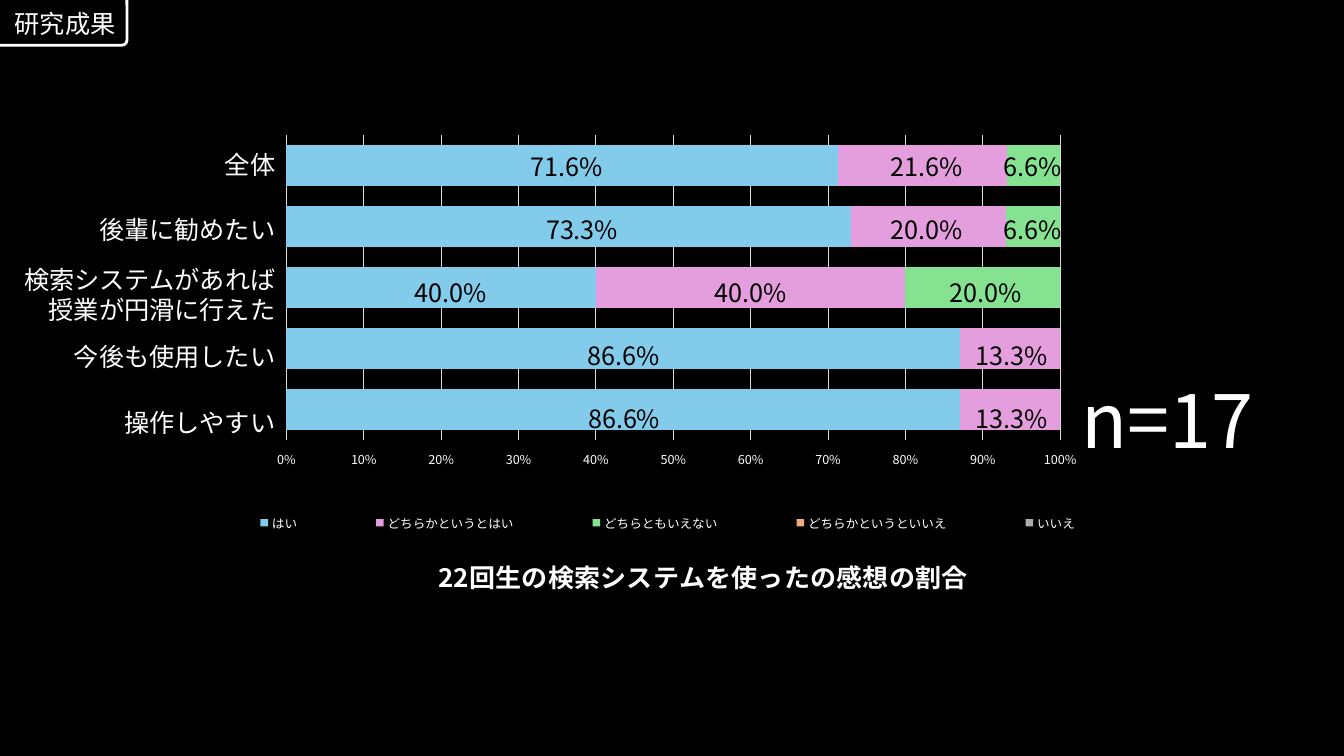
from dataclasses import dataclass

import pptx
import pptx.chart.data
import pptx.dml.color
import pptx.enum.chart
import pptx.enum.shapes
import pptx.enum.text
import pptx.oxml
import pptx.oxml.ns
import pptx.util

Cm, Pt = pptx.util.Cm, pptx.util.Pt
qn = pptx.oxml.ns.qn
Align = pptx.enum.text.PP_ALIGN


@dataclass(frozen=True)
class Theme:
    face: str = "Noto Sans CJK JP"
    back: str = "000000"
    ink: str = "FFFFFF"
    dark: str = "000000"
    grid: str = "D9D9D9"
    tones: tuple = ("83CBEB", "E59EDD", "84E291", "F2AA84", "AEAEAE")
    body: int = 18
    title: float = 18.6
    small: int = 9
    base: int = 10
    huge: int = 54


THEME = Theme()

KEYS = ("はい", "どちらかというとはい", "どちらともいえない",
        "どちらかというといいえ", "いいえ")

# Rows from top to bottom: name, top, width, height of the name,
# then value, label and left edge of the label for each answer
ROWS = (
    ("全体", 3.63, 2.77, 1.02,
     ((72, "71.6%", 12.67), (22, "21.6%", 21.74), (7, "6.6%", 24.23))),
    ("後輩に勧めたい", 5.28, 5.92, 1.02,
     ((73, "73.3%", 13.06), (20, "20.0%", 21.74), (7, "6.6%", 24.23))),
    ("検索システムがあれば授業が円滑に行えた", 6.53, 7.19, 1.8,
     ((40, "40.0%", 9.75), (40, "40.0%", 17.3), (20, "20.0%", 23.22))),
    ("今後も使用したい", 8.48, 6.12, 1.02,
     ((87, "86.6%", 14.1), (13, "13.3%", 23.88))),
    ("操作しやすい", 10.13, 5.13, 1.02,
     ((87, "86.6%", 14.12), (13, "13.3%", 23.88))),
)
EDGE = 7.19    # right edge of the row names
FIRST = 3.68   # top of the first row of labels
PITCH = 1.59   # distance between rows
WIDE, HIGH = 25.07, 12.55   # size of the chart


def rgb(code):
    return pptx.dml.color.RGBColor.from_string(code)


def style(font, size, tone, bold=None):
    font.size = Pt(size)
    font.bold = bold
    font.color.rgb = rgb(tone)
    font.name = THEME.face


def add_east(root):
    """Give East Asian text the same face as Latin text."""
    for latin in list(root.iter(qn("a:latin"))):
        east = pptx.oxml.parse_xml(
            f'<a:ea {pptx.oxml.ns.nsdecls("a")} typeface="{THEME.face}"/>')
        latin.addnext(east)


def write(frame, text, size, tone, align):
    para = frame.paragraphs[0]
    para.text = text
    para.alignment = align
    style(para.font, size, tone)
    add_east(para._p)


def add_text(slide, text, left, top, width, height, tone=THEME.ink,
             size=THEME.body, align=Align.RIGHT):
    box = slide.shapes.add_textbox(Cm(left), Cm(top), Cm(width), Cm(height))
    box.text_frame.word_wrap = True
    write(box.text_frame, text, size, tone, align)


def add_tab(slide, text):
    kind = pptx.enum.shapes.MSO_SHAPE.ROUNDED_RECTANGLE
    tab = slide.shapes.add_shape(kind, Cm(-0.15), Cm(-0.23), Cm(3.35), Cm(1.37))
    tab.adjustments[0] = 0.09
    tab.shadow.inherit = False
    tab.fill.background()
    tab.line.color.rgb = rgb(THEME.ink)
    tab.line.width = Pt(2)
    tab.text_frame.vertical_anchor = pptx.enum.text.MSO_ANCHOR.BOTTOM
    write(tab.text_frame, text, THEME.body, THEME.ink, Align.RIGHT)


def place(part, after, inner=False, **spots):
    """Fix a chart part at centimetres from the chart's corner."""
    for old in part.findall(qn("c:layout")):
        part.remove(old)
    marks = '<c:layoutTarget val="inner"/>' if inner else ""
    marks += "".join(f'<c:{key}Mode val="edge"/>' for key in spots if key in "xy")
    for key, val in spots.items():
        marks += f'<c:{key} val="{val / (WIDE if key in "xw" else HIGH)}"/>'
    node = pptx.oxml.parse_xml(
        f'<c:layout {pptx.oxml.ns.nsdecls("c")}>'
        f'<c:manualLayout>{marks}</c:manualLayout></c:layout>')
    if after:
        part.find(qn(after)).addnext(node)
    else:
        part.insert(0, node)


def add_chart(slide):
    enum = pptx.enum.chart
    data = pptx.chart.data.CategoryChartData(number_format="0")
    rows = ROWS[::-1]
    data.categories = [str(num + 1) for num in range(len(rows))]
    for col, key in enumerate(KEYS):
        data.add_series(key, [row[4][col][0] if col < len(row[4]) else 0
                              for row in rows])
    chart = slide.shapes.add_chart(
        enum.XL_CHART_TYPE.BAR_STACKED_100, Cm(3.91), Cm(2.62),
        Cm(WIDE), Cm(HIGH), data).chart
    style(chart.font, THEME.base, THEME.ink)

    # Bars
    plot = chart.plots[0]
    plot.vary_by_categories = False
    plot.gap_width = 50
    plot.overlap = 100
    for item, tone in zip(plot.series, THEME.tones):
        item.format.fill.solid()
        item.format.fill.fore_color.rgb = rgb(tone)

    # Axes
    chart.category_axis.visible = False
    axis = chart.value_axis
    axis.major_unit = 0.1
    axis.major_tick_mark = enum.XL_TICK_MARK.NONE
    axis.minor_tick_mark = enum.XL_TICK_MARK.NONE
    axis.tick_label_position = enum.XL_TICK_LABEL_POSITION.LOW
    axis.tick_labels.number_format = "0%"
    axis.tick_labels.number_format_is_linked = False
    style(axis.tick_labels.font, THEME.small, THEME.ink)
    axis.format.line.fill.background()
    axis.has_major_gridlines = True
    axis.major_gridlines.format.line.color.rgb = rgb(THEME.grid)
    axis.major_gridlines.format.line.width = Pt(0.75)

    # Legend and title
    chart.has_legend = True
    chart.legend.position = enum.XL_LEGEND_POSITION.BOTTOM
    chart.legend.include_in_layout = False
    style(chart.legend.font, THEME.small, THEME.ink)
    chart.has_title = True
    para = chart.chart_title.text_frame.paragraphs[0]
    para.text = "22回生の検索システムを使ったの感想の割合"
    style(para.font, THEME.title, THEME.ink, True)

    root = chart._chartSpace
    add_east(root)
    place(next(root.iter(qn("c:plotArea"))), None, True,
          x=3.31, y=0.8, w=19.5, h=7.93)
    place(next(root.iter(qn("c:legend"))), "c:legendPos",
          x=0.77, y=10.5, w=24.3, h=0.75)
    place(next(root.iter(qn("c:title"))), "c:tx", x=7.02, y=11.58)


def add_row(slide, num, row):
    name, top, width, height, shares = row
    add_text(slide, name, EDGE - width, top, width, height)
    for _, label, left in shares:
        add_text(slide, label, left, FIRST + num * PITCH,
                 2.77, 1.02, THEME.dark)


def main():
    deck = pptx.Presentation()
    deck.slide_width, deck.slide_height = Cm(33.87), Cm(19.05)
    slide = deck.slides.add_slide(deck.slide_layouts[6])
    slide.background.fill.solid()
    slide.background.fill.fore_color.rgb = rgb(THEME.back)

    # Heading and chart
    add_tab(slide, "研究成果")
    add_chart(slide)

    # Row names and shares
    for num, row in enumerate(ROWS):
        add_row(slide, num, row)

    # Sample size
    add_text(slide, "n=17", 27, 9.27, 5.13, 2.57,
             size=THEME.huge, align=Align.LEFT)
    deck.save("out.pptx")


if __name__ == "__main__":
    main()
